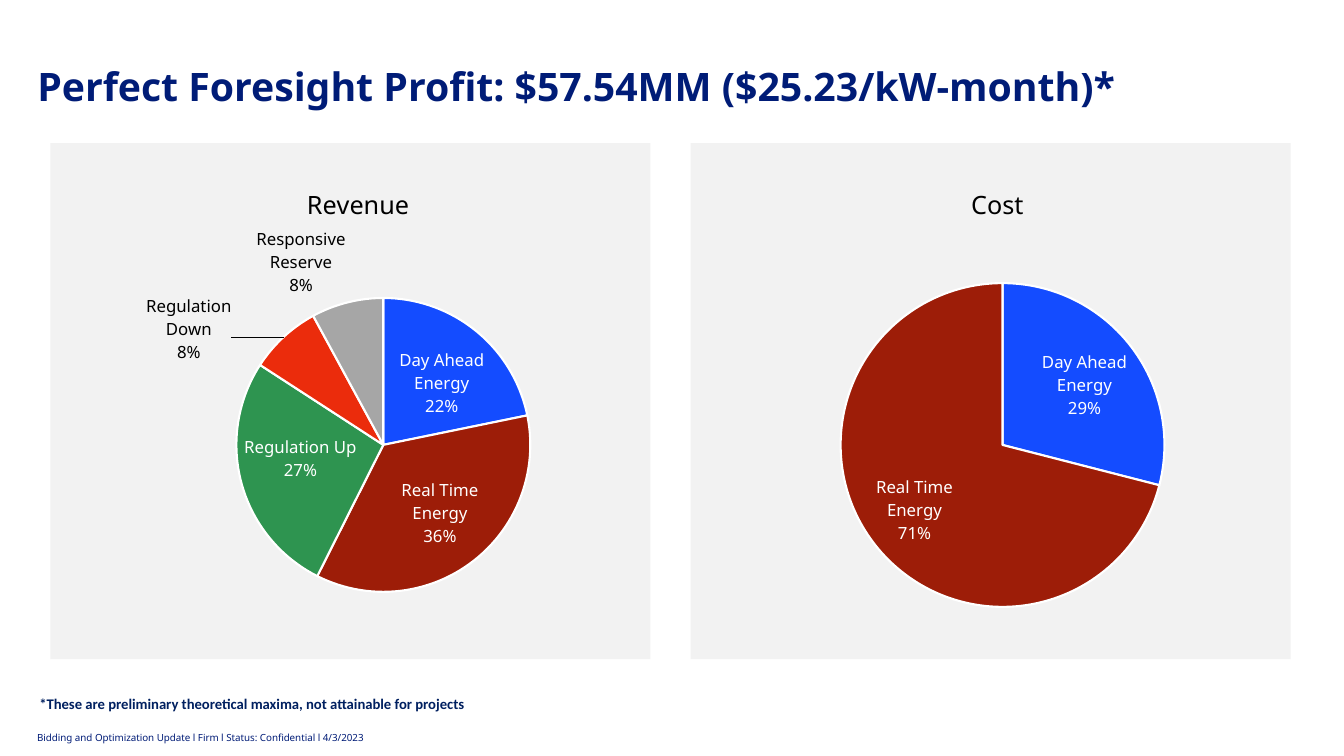
from lxml import etree
from pptx import Presentation
from pptx.chart.data import CategoryChartData
from pptx.dml.color import RGBColor
from pptx.enum import chart as ch, text
from pptx.oxml import parse_xml
from pptx.oxml.ns import nsdecls, qn
from pptx.util import Inches, Pt

COLORS = {"navy": "001C77", "note": "002060", "panel": "F2F2F2", "black": "000000",
          "white": "FFFFFF", "blue": "144CFF", "brick": "9D1D08", "green": "2E9450",
          "red": "EB2C0C", "gray": "A6A6A6"}
FONT = "Noto Sans"

REVENUE = [("Day Ahead Energy", 22, "blue", (0.02, -0.01)),
           ("Real Time Energy", 36, "brick", (0.02, 0.02)),
           ("Regulation Up", 27, "green", (-0.02, -0.01)),
           ("Regulation Down", 8, "red", (-0.08, 0.06)),
           ("Responsive Reserve", 8, "gray", (0, 0))]
COST = [("Day Ahead Energy", 29, "blue", (0.03, -0.02)),
        ("Real Time Energy", 71, "brick", (-0.04, 0.03))]
OUTSIDE = ("Regulation Down", "Responsive Reserve")


def style_font(font, size, color, name=FONT, bold=False):
    """Set the size, colour, face and weight of a font."""
    font.size, font.name, font.bold = Pt(size), name, bold
    font.color.rgb = RGBColor.from_string(COLORS[color])


def set_layout(parent, index, inner=False, **fractions):
    """Give a chart element a manual layout in fractions of the chart."""
    for old in parent.findall(qn("c:layout")):
        parent.remove(old)
    layout = etree.Element(qn("c:layout"))
    manual = etree.SubElement(layout, qn("c:manualLayout"))
    values = {"layoutTarget": "inner"} if inner else {}
    if parent.tag != qn("c:dLbl"):
        values.update(xMode="edge", yMode="edge")
    values.update(fractions)
    for tag, value in values.items():
        etree.SubElement(manual, qn(f"c:{tag}")).set("val", str(value))
    parent.insert(index, layout)


def style_label(label, outside, offset):
    """Show category and percentage on a slice."""
    style_font(label.font, 12, "black" if outside else "white")
    pos = ch.XL_LABEL_POSITION
    label.position = pos.OUTSIDE_END if outside else pos.CENTER
    d = label.font._element.getparent()
    while d.tag != qn("c:dLbl"):
        d = d.getparent()
    for tag, shown in (("showVal", "0"), ("showCatName", "1"), ("showPercent", "1")):
        d.find(qn(f"c:{tag}")).set("val", shown)
    etree.SubElement(d, qn("c:separator")).text = "\n"
    if any(offset):
        set_layout(d, 1, x=offset[0], y=offset[1])


def add_pie(s, box, title, title_x, slices, plot_box):
    """Draw a titled pie chart on a grey panel."""
    data = CategoryChartData()
    data.categories = [name for name, *_ in slices]
    data.add_series("Series 1", [value for _, value, *_ in slices])
    chart = s.shapes.add_chart(ch.XL_CHART_TYPE.PIE, *map(Inches, box), data).chart
    style_font(chart.font, 10, "navy", "Calibri")
    chart.has_legend = False
    chart.has_title = True
    tf = chart.chart_title.text_frame
    tf.text = title
    style_font(tf.paragraphs[0].runs[0].font, 18, "black")
    space = chart._chartSpace
    set_layout(space.find(".//" + qn("c:title")), 1, x=title_x, y=0.07)
    x, y, w, h = plot_box
    set_layout(space.find(".//" + qn("c:plotArea")), 0, True, x=x, y=y, w=w, h=h)
    space.find(qn("c:chart")).addnext(parse_xml(
        f'<c:spPr {nsdecls("c", "a")}><a:solidFill><a:srgbClr val="{COLORS["panel"]}"/>'
        "</a:solidFill><a:ln><a:noFill/></a:ln></c:spPr>"))
    series = chart.plots[0].series[0]
    for i, (name, _, color, offset) in enumerate(slices):
        point = series.points[i]
        point.format.fill.solid()
        point.format.fill.fore_color.rgb = RGBColor.from_string(COLORS[color])
        point.format.line.color.rgb = RGBColor.from_string(COLORS["white"])
        point.format.line.width = Pt(1.5)
        style_label(point.data_label, name in OUTSIDE, offset)


def add_title(s, box, words):
    """Fill and place the slide title."""
    sp = s.shapes.title
    sp.left, sp.top, sp.width, sp.height = map(Inches, box)
    tf = sp.text_frame
    tf.text = words
    tf.vertical_anchor = text.MSO_ANCHOR.MIDDLE
    tf.auto_size = text.MSO_AUTO_SIZE.NONE
    p = tf.paragraphs[0]
    p.alignment, p.line_spacing = text.PP_ALIGN.LEFT, 0.9
    style_font(p.runs[0].font, 28, "navy", bold=True)


def add_text(s, box, words, align, **font):
    """Add a one-line text box."""
    tf = s.shapes.add_textbox(*map(Inches, box)).text_frame
    tf.word_wrap = True
    tf.text = words
    p = tf.paragraphs[0]
    p.alignment = align
    style_font(p.runs[0].font, **font)


def main():
    """Build and save the slide."""
    prs = Presentation()
    prs.slide_width, prs.slide_height = Inches(13.33), Inches(7.5)
    s = prs.slides.add_slide(prs.slide_layouts[5])
    add_title(s, (0.27, 0.66, 11.91, 0.45),
              "Perfect Foresight Profit: $57.54MM ($25.23/kW-month)*")
    add_pie(s, (0.5, 1.42, 5.95, 5.12), "Revenue", 0.42, REVENUE, (0.31, 0.3, 0.49, 0.57))
    add_pie(s, (6.85, 1.42, 5.95, 5.12), "Cost", 0.46, COST, (0.25, 0.27, 0.54, 0.63))
    add_text(s, (0.13, 6.84, 4.74, 0.28),
             "*These are preliminary theoretical maxima, not attainable for projects",
             text.PP_ALIGN.CENTER, size=10.5, color="note", name="Calibri", bold=True)
    add_text(s, (0.27, 7.21, 3.6, 0.22),
             "Bidding and Optimization Update l Firm l Status: Confidential l 4/3/2023",
             text.PP_ALIGN.LEFT, size=7, color="navy")
    prs.save("out.pptx")


if __name__ == "__main__":
    main()
